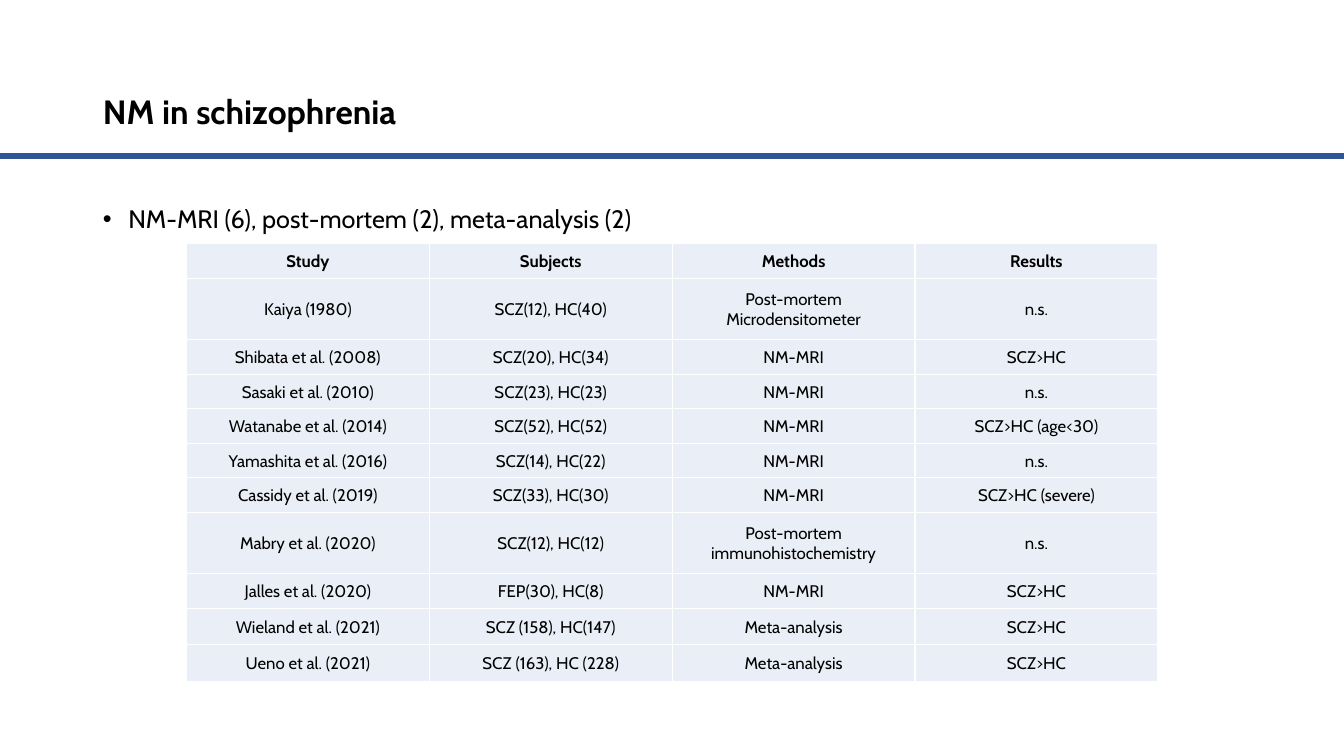
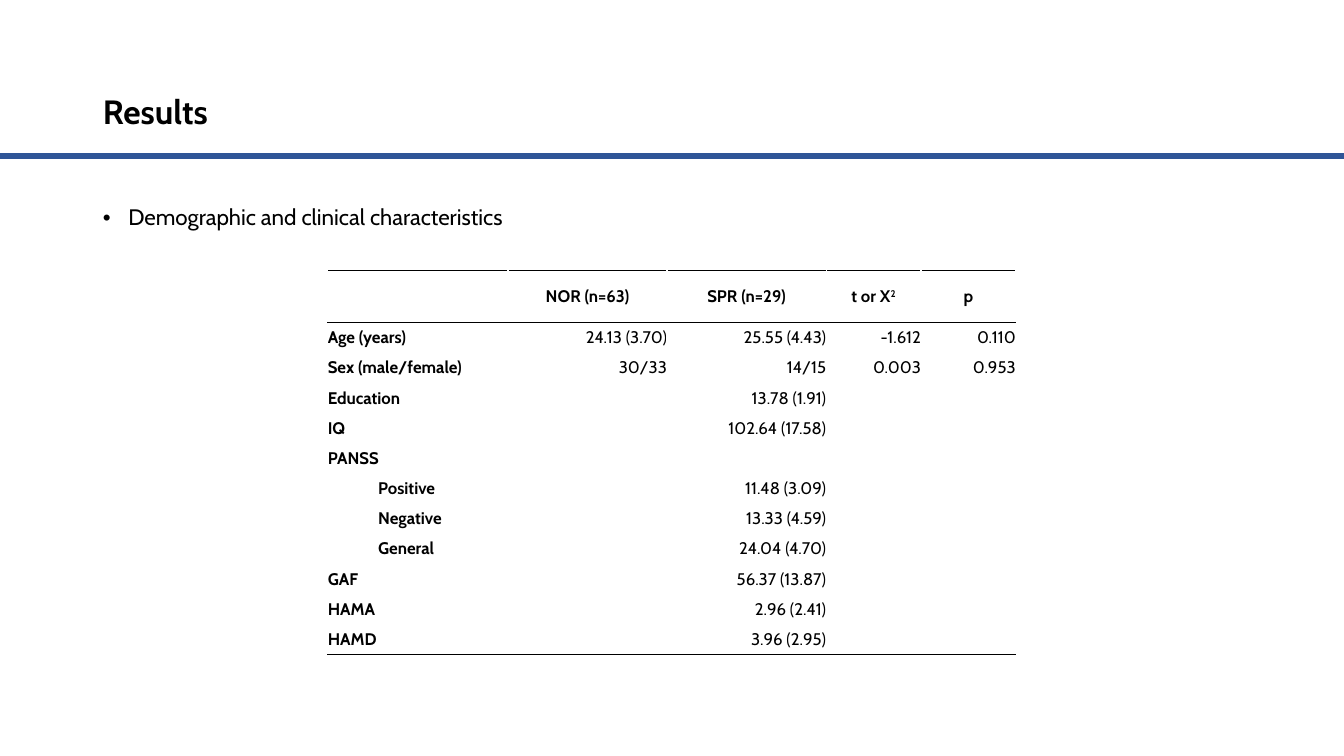
from dataclasses import dataclass
from typing import Any

from lxml.etree import SubElement
from pptx import Presentation
from pptx.dml.color import RGBColor
from pptx.enum.shapes import MSO_SHAPE as Preset
from pptx.enum.text import MSO_ANCHOR as Anchor, MSO_AUTO_SIZE as AutoSize, PP_ALIGN as Align
from pptx.oxml.ns import qn
from pptx.util import Cm, Pt


@dataclass(frozen=True)
class Theme:
    font: str = "Cabin"
    ink: str = "000000"
    paper: str = "FFFFFF"
    band: str = "2F5597"
    pale: str = "EAEFF7"
    title_size: int = 24
    cell_size: int = 12
    border: int = 1


@dataclass(frozen=True)
class Row:
    cells: tuple[str, ...]
    height: float
    indent: float = 0


@dataclass(frozen=True)
class Grid:
    left: float
    top: float
    columns: tuple[float, ...]
    rows: tuple[Row, ...]
    inset: float = 0
    fill: str | None = None
    ruled: bool = False


@dataclass(frozen=True)
class Page:
    title: str
    point: str
    point_size: int
    grid: Grid


THEME = Theme()

STUDIES = Grid(
    left=4.7, top=6.14, columns=(6.12,) * 4, inset=0.03, fill=THEME.pale,
    rows=(
        Row(("Study", "Subjects", "Methods", "Results"), 0.87),
        Row(("Kaiya (1980)", "SCZ(12), HC(40)", "Post-mortem\nMicrodensitometer", "n.s."), 1.55),
        Row(("Shibata et al. (2008)", "SCZ(20), HC(34)", "NM-MRI", "SCZ>HC"), 0.87),
        Row(("Sasaki et al. (2010)", "SCZ(23), HC(23)", "NM-MRI", "n.s."), 0.87),
        Row(("Watanabe et al. (2014)", "SCZ(52), HC(52)", "NM-MRI", "SCZ>HC (age<30)"), 0.87),
        Row(("Yamashita et al. (2016)", "SCZ(14), HC(22)", "NM-MRI", "n.s."), 0.87),
        Row(("Cassidy et al. (2019)", "SCZ(33), HC(30)", "NM-MRI", "SCZ>HC (severe)"), 0.87),
        Row(("Mabry et al. (2020)", "SCZ(12), HC(12)", "Post-mortem\nimmunohistochemistry", "n.s."), 1.55),
        Row(("Jalles et al. (2020)", "FEP(30), HC(8)", "NM-MRI", "SCZ>HC"), 0.87),
        Row(("Wieland et al. (2021)", "SCZ (158), HC(147)", "Meta-analysis", "SCZ>HC"), 0.92),
        Row(("Ueno et al. (2021)", "SCZ (163), HC (228)", "Meta-analysis", "SCZ>HC"), 0.92),
    ),
)

LINE = 0.76
CHARACTERISTICS = Grid(
    left=8.26, top=6.81, columns=(4.54, 4.01, 4.01, 2.39, 2.39), ruled=True,
    rows=(
        Row(("", "NOR (n=63)", "SPR (n=29)", "t or X^2", "p"), 1.32),
        Row(("Age (years)", "24.13 (3.70)", "25.55 (4.43)", "-1.612", "0.110"), LINE),
        Row(("Sex (male/female)", "30/33", "14/15", "0.003", "0.953"), LINE),
        Row(("Education", "", "13.78 (1.91)", "", ""), LINE),
        Row(("IQ", "", "102.64 (17.58)", "", ""), LINE),
        Row(("PANSS", "", "", "", ""), LINE),
        Row(("Positive", "", "11.48 (3.09)", "", ""), LINE, 1.27),
        Row(("Negative", "", "13.33 (4.59)", "", ""), LINE, 1.27),
        Row(("General", "", "24.04 (4.70)", "", ""), LINE, 1.27),
        Row(("GAF", "", "56.37 (13.87)", "", ""), LINE),
        Row(("HAMA", "", "2.96 (2.41)", "", ""), LINE),
        Row(("HAMD", "", "3.96 (2.95)", "", ""), LINE),
    ),
)

PAGES = (
    Page("NM in schizophrenia", "NM-MRI (6), post-mortem (2), meta-analysis (2)", 18, STUDIES),
    Page("Results", "Demographic and clinical characteristics", 16, CHARACTERISTICS),
)


def apply(target: Any, values: dict[str, Any]) -> None:
    for name, value in values.items():
        setattr(target, name, value)


def add_text(paragraph: Any, text: str, size: int, bold: bool = False) -> Any:
    run = paragraph.add_run()
    run.text = text
    apply(run.font, {"name": THEME.font, "size": Pt(size), "bold": bold})
    run.font.color.rgb = RGBColor.from_string(THEME.ink)
    return run


def set_indent(paragraph: Any, margin: float, first: float = 0) -> None:
    properties = paragraph._p.get_or_add_pPr()
    properties.set("marL", str(Cm(margin)))
    properties.set("indent", str(Cm(first)))


def place_layout(layout: Any) -> None:
    boxes = {0: (2.34, 1.02, 29.21, 3.68), 1: (2.34, 5.08, 29.21, 12.09)}
    for holder in layout.placeholders:
        box = boxes.get(holder.placeholder_format.idx)
        if box:
            apply(holder, dict(zip(("left", "top", "width", "height"), map(Cm, box))))


def add_heading(slide: Any, page: Page) -> None:
    title, body = slide.shapes.title.text_frame, slide.placeholders[1].text_frame
    apply(title, {"vertical_anchor": Anchor.MIDDLE, "auto_size": AutoSize.NONE})
    apply(title.paragraphs[0], {"alignment": Align.LEFT, "line_spacing": 0.9})
    add_text(title.paragraphs[0], page.title, THEME.title_size, True)

    body.auto_size = AutoSize.NONE
    point = body.paragraphs[0]
    apply(point, {"line_spacing": 0.9, "space_before": Pt(10)})
    set_indent(point, 0.64, -0.64)
    add_text(point, page.point, page.point_size)


def add_band(slide: Any, width: int) -> None:
    band = slide.shapes.add_shape(Preset.RECTANGLE, 0, Cm(3.87), width, Cm(0.13))
    band.shadow.inherit = False
    band.fill.solid()
    band.fill.fore_color.rgb = band.line.color.rgb = RGBColor.from_string(THEME.band)
    band.line.width = Pt(1)


def set_borders(cell: Any, colours: dict[str, str]) -> None:
    properties = cell._tc.get_or_add_tcPr()
    for side, colour in colours.items():
        edge = SubElement(properties, qn(f"a:ln{side}"), w=str(Pt(THEME.border)))
        SubElement(SubElement(edge, qn("a:solidFill")), qn("a:srgbClr"), val=colour)


def fill_cell(cell: Any, grid: Grid, row: int, column: int) -> None:
    source = grid.rows[row]
    label = grid.ruled and column == 0
    last = len(grid.rows) - 1
    apply(cell, {
        "vertical_anchor": Anchor.MIDDLE,
        "margin_left": Cm(grid.inset), "margin_right": Cm(grid.inset),
        "margin_top": Cm(grid.inset), "margin_bottom": 0,
    })
    set_borders(cell, {
        "L": THEME.paper, "R": THEME.paper,
        "T": THEME.ink if grid.ruled and row in (0, 1) else THEME.paper,
        "B": THEME.ink if grid.ruled and row in (0, last) else THEME.paper,
    })
    if grid.fill:
        cell.fill.solid()
        cell.fill.fore_color.rgb = RGBColor.from_string(grid.fill)
    else:
        cell.fill.background()

    alignment = Align.LEFT if label else Align.RIGHT if grid.ruled and row else Align.CENTER
    for index, line in enumerate(source.cells[column].split("\n")):
        paragraph = cell.text_frame.add_paragraph() if index else cell.text_frame.paragraphs[0]
        paragraph.alignment = alignment
        if label:
            set_indent(paragraph, source.indent)
        base, _, power = line.partition("^")
        bold = row == 0 or label
        add_text(paragraph, base, THEME.cell_size, bold)
        if power:
            raised = add_text(paragraph, power, THEME.cell_size, bold)
            raised._r.get_or_add_rPr().set("baseline", "30000")


def add_grid(slide: Any, grid: Grid) -> None:
    table = slide.shapes.add_table(
        len(grid.rows), len(grid.columns), Cm(grid.left), Cm(grid.top),
        Cm(sum(grid.columns)), Cm(sum(row.height for row in grid.rows)),
    ).table
    apply(table, {"first_row": False, "horz_banding": False})
    for column, width in enumerate(grid.columns):
        table.columns[column].width = Cm(width)
    for row, source in enumerate(grid.rows):
        table.rows[row].height = Cm(source.height)
        for column in range(len(grid.columns)):
            fill_cell(table.cell(row, column), grid, row, column)


def main() -> None:
    deck = Presentation()
    apply(deck, {"slide_width": Cm(33.87), "slide_height": Cm(19.05)})
    layout = deck.slide_layouts[1]
    place_layout(layout)
    for page in PAGES:
        slide = deck.slides.add_slide(layout)
        add_band(slide, deck.slide_width)
        add_heading(slide, page)
        add_grid(slide, page.grid)
    deck.save("out.pptx")


if __name__ == "__main__":
    main()
